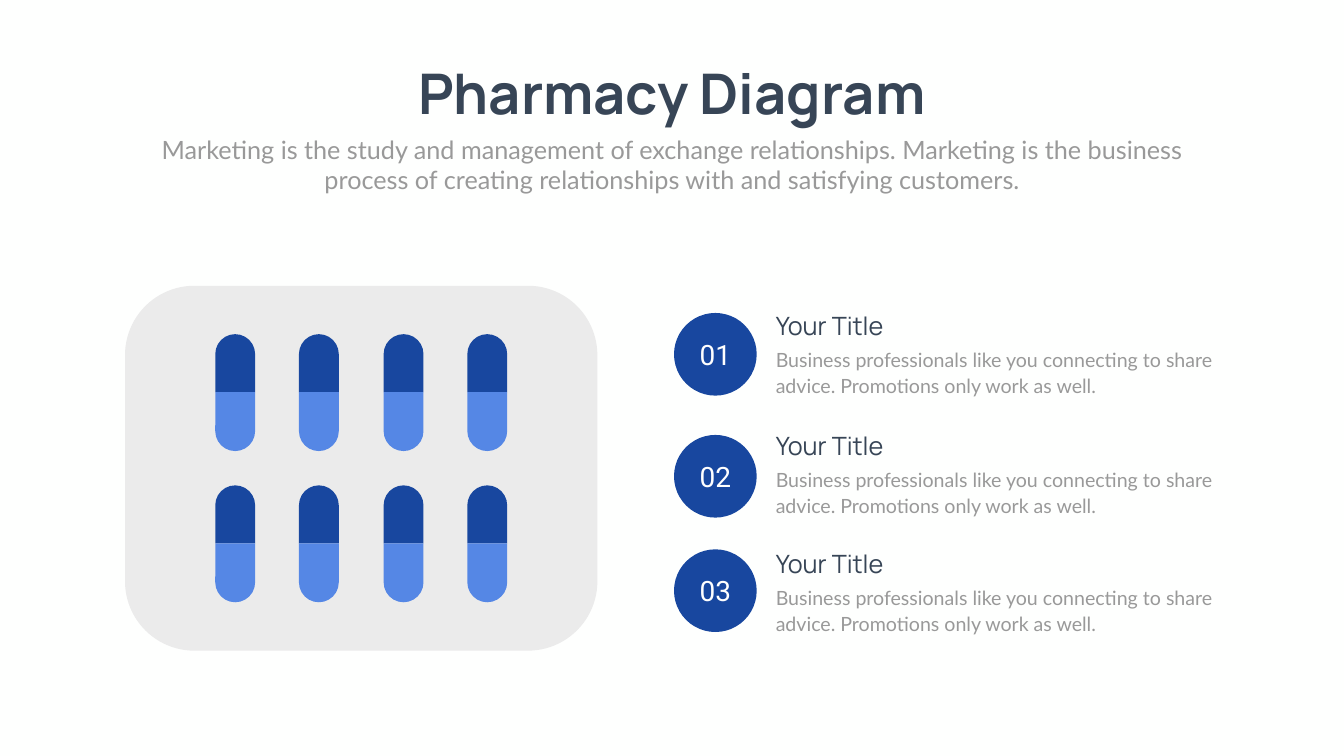
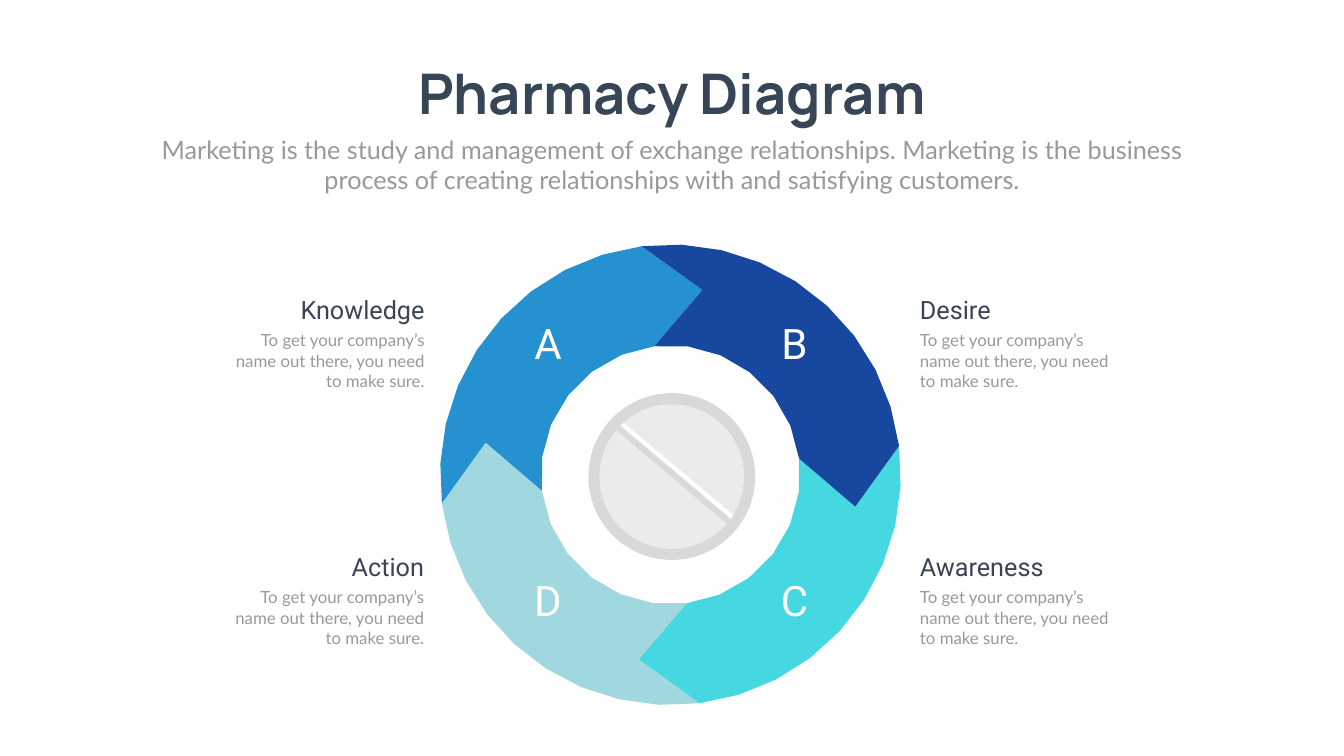
from math import cos, radians, sin

from pptx import Presentation
from pptx.dml.color import RGBColor
from pptx.enum.shapes import MSO_SHAPE
from pptx.enum.text import MSO_ANCHOR, MSO_AUTO_SIZE, PP_ALIGN
from pptx.util import Inches, Pt

NAVY = "18479F"
BLUE = "5587E5"
SKY = "2591D0"
CYAN = "45D8E0"
PALE_TEAL = "A1D7DF"
LIGHT_GRAY = "EBEBEB"
MID_GRAY = "D9D9D9"
WHITE = "FFFFFF"
DARK = "374556"
TEXT_GRAY = "999999"


def paint(shape, color):
    shape.shadow.inherit = False
    shape.fill.solid()
    shape.fill.fore_color.rgb = RGBColor.from_string(color)
    shape.line.fill.background()


def write(shape, text, size, font, color, align=PP_ALIGN.LEFT, bold=False):
    text_frame = shape.text_frame
    text_frame.text = text
    text_frame.word_wrap = True
    paragraph = text_frame.paragraphs[0]
    paragraph.alignment = align
    run = paragraph.runs[0]
    run.font.size = Pt(size)
    run.font.name = font
    run.font.bold = bold
    run.font.color.rgb = RGBColor.from_string(color)
    return text_frame


presentation = Presentation()
presentation.slide_width = Inches(26.66)
presentation.slide_height = Inches(15)
background = presentation.slide_master.background.fill
background.solid()
background.fore_color.rgb = RGBColor.from_string("FEFFFE")

slides = []
for number in range(2):
    slide = presentation.slides.add_slide(presentation.slide_layouts[5])
    title = slide.shapes.title
    title.left, title.top = Inches(7.54), Inches(1.12)
    title.width, title.height = Inches(11.58), Inches(1.45)
    text_frame = write(title, "Pharmacy Diagram", 80, "Manrope", DARK, PP_ALIGN.CENTER, True)
    text_frame.word_wrap = False
    text_frame.auto_size = MSO_AUTO_SIZE.SHAPE_TO_FIT_TEXT
    text_frame.vertical_anchor = MSO_ANCHOR.TOP
    subtitle = slide.shapes.add_textbox(Inches(2.92), Inches(2.61), Inches(20.82), Inches(1.31))
    write(
        subtitle,
        "Marketing is the study and management of exchange relationships. Marketing is the "
        "business process of creating relationships with and satisfying customers.",
        36, "Lato", TEXT_GRAY, PP_ALIGN.CENTER,
    )
    slides.append(slide)

blister_slide, cycle_slide = slides

shapes = blister_slide.shapes
for label, circle_top, heading_top in (
    ("01", 6.21, 6.11),
    ("02", 8.63, 8.49),
    ("03", 10.9, 10.83),
):
    circle = shapes.add_shape(
        MSO_SHAPE.OVAL, Inches(13.37), Inches(circle_top), Inches(1.64), Inches(1.64)
    )
    paint(circle, NAVY)
    write(circle, label, 40, "Roboto", WHITE, PP_ALIGN.CENTER)
    body = shapes.add_textbox(Inches(15.29), Inches(heading_top + 0.71), Inches(9.17), Inches(1.13))
    text_frame = write(
        body,
        "Business professionals like you connecting to share advice. Promotions only work as well.",
        28, "Lato", TEXT_GRAY,
    )
    text_frame.paragraphs[0].line_spacing = Pt(36.6)
    heading = shapes.add_textbox(Inches(15.29), Inches(heading_top), Inches(4.12), Inches(0.71))
    write(heading, "Your Title", 36, "Manrope", DARK)

blister = shapes.add_shape(
    MSO_SHAPE.ROUNDED_RECTANGLE, Inches(2.48), Inches(5.67), Inches(9.37), Inches(7.24)
)
blister.adjustments[0] = 0.19
paint(blister, LIGHT_GRAY)

for left in (4.27, 5.93, 7.61, 9.27):
    for top in (9.63, 6.63):
        for offset, height, color, rounding in (
            (0, 1.15, NAVY, (0.5, 0)),
            (1.15, 1.17, BLUE, (0, 0.5)),
        ):
            half = shapes.add_shape(
                MSO_SHAPE.ROUND_2_SAME_RECTANGLE,
                Inches(left), Inches(top + offset), Inches(0.79), Inches(height),
            )
            half.adjustments[0], half.adjustments[1] = rounding
            paint(half, color)

shapes = cycle_slide.shapes
center_x, center_y = 13.3, 9.42
inner_radius, tip_radius, outer_radius = 2.57, 3.72, 4.57
segments = {}
for quarter, color in enumerate((NAVY, CYAN, PALE_TEAL, SKY)):
    start = -97.2 + 90 * quarter
    polar = [(tip_radius, start + 17)]
    polar += [(inner_radius, start + step) for step in range(0, 91, 15)]
    polar += [(tip_radius, start + 107)]
    polar += [(outer_radius, start + step) for step in range(90, -1, -10)]
    segments[color] = [
        (center_x + radius * cos(radians(angle)), center_y + radius * sin(radians(angle)))
        for radius, angle in polar
    ]

ring = (
    (CYAN, segments[CYAN]),
    (WHITE, [(12.74, 4.89), (12.73, 4.88), (12.73, 4.89)]),
    (SKY, segments[SKY]),
    (PALE_TEAL, segments[PALE_TEAL]),
    (WHITE, [(10.75, 9.73), (10.76, 9.75), (10.77, 9.75)]),
    (NAVY, segments[NAVY]),
    (WHITE, [(15.85, 9.08), (15.86, 9.09), (15.86, 9.08)]),
)
score_line = (
    (MID_GRAY, [
        (12.15, 8.47), (12.16, 8.45), (12.28, 8.46), (12.35, 8.5),
        (14.44, 10.25), (14.48, 10.32), (14.51, 10.44), (14.5, 10.46),
    ]),
    (WHITE, [(12.32, 8.44), (14.5, 10.29), (14.55, 10.22), (12.37, 8.39)]),
)
tablet = ((11.67, 7.8, 3.31, MID_GRAY), (11.89, 8.02, 2.87, LIGHT_GRAY))

for left, top, diameter, color in tablet:
    disc = shapes.add_shape(
        MSO_SHAPE.OVAL, Inches(left), Inches(top), Inches(diameter), Inches(diameter)
    )
    paint(disc, color)

for color, points in ring + score_line:
    corners = [(Inches(x), Inches(y)) for x, y in points]
    builder = shapes.build_freeform(*corners[0])
    builder.add_line_segments(corners[1:], close=True)
    paint(builder.convert_to_shape(), color)

for letter, heading_text, letter_left, heading_left, body_left, top, align in (
    ("A", "Knowledge", 10.06, 5.26, 4.45, 5.79, PP_ALIGN.RIGHT),
    ("B", "Desire", 14.95, 18.15, 18.15, 5.79, PP_ALIGN.LEFT),
    ("D", "Action", 10.06, 5.25, 4.44, 10.89, PP_ALIGN.RIGHT),
    ("C", "Awareness", 14.95, 18.15, 18.15, 10.89, PP_ALIGN.LEFT),
):
    letter_box = shapes.add_textbox(
        Inches(letter_left), Inches(top + 0.46), Inches(1.62), Inches(1.11)
    )
    write(letter_box, letter, 60, "Roboto", WHITE, PP_ALIGN.CENTER)
    body = shapes.add_textbox(Inches(body_left), Inches(top + 0.71), Inches(4.07), Inches(1.31))
    write(
        body, "To get your company’s name out there, you need to make sure.",
        24, "Lato", TEXT_GRAY, align,
    )
    heading = shapes.add_textbox(Inches(heading_left), Inches(top), Inches(3.26), Inches(0.71))
    write(heading, heading_text, 36, "Roboto", DARK, align)

presentation.save("out.pptx")
